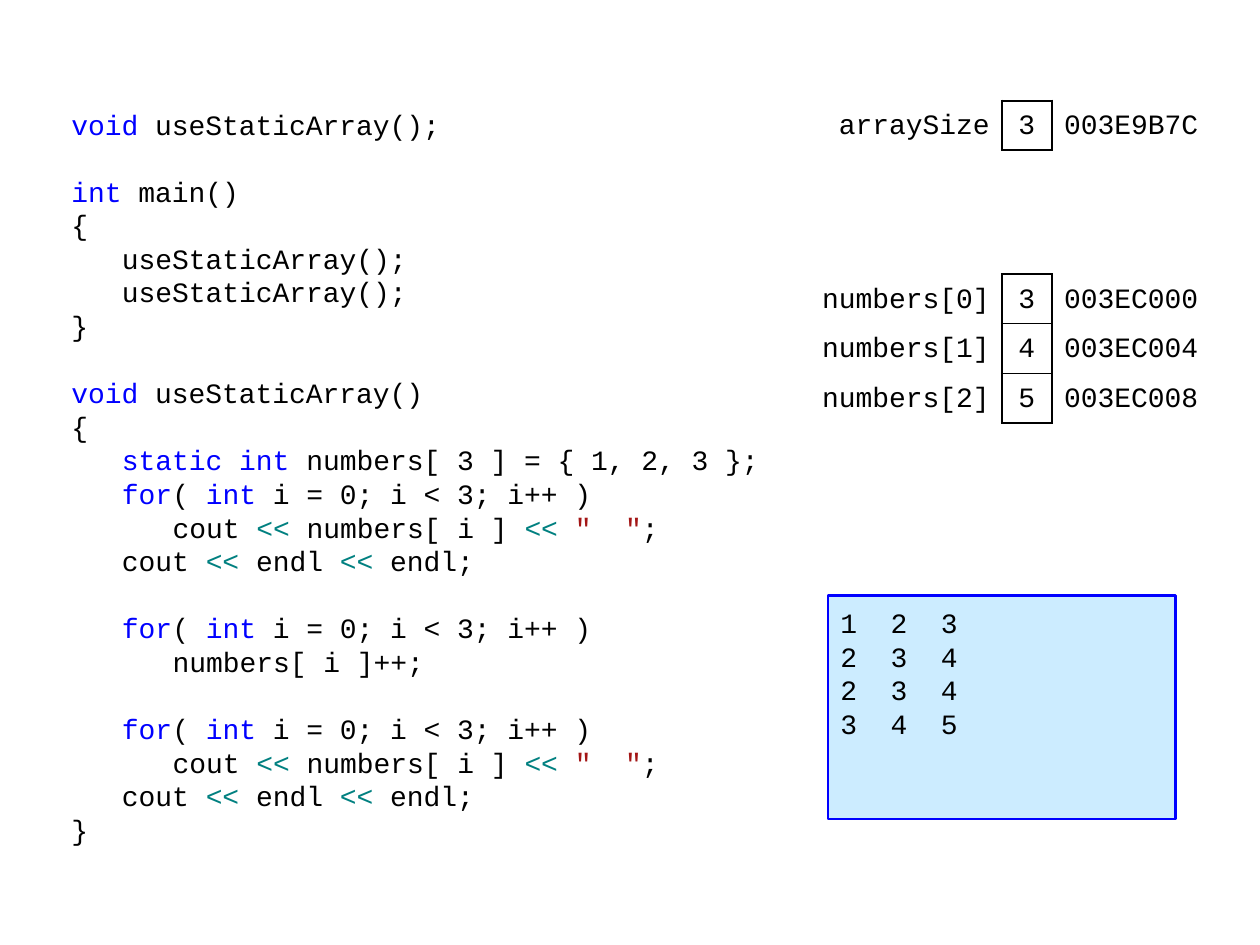
from lxml.etree import SubElement
from pptx import Presentation
from pptx.dml.color import RGBColor
from pptx.enum.shapes import MSO_SHAPE
from pptx.enum.text import MSO_ANCHOR, PP_ALIGN
from pptx.oxml.ns import qn
from pptx.util import Cm, Pt

COLORS = {
    "text": "000000",
    "keyword": "0000FF",
    "operator": "008080",
    "string": "A31515",
    "console": "CCECFF",
}
TOKENS = {
    "void": "keyword",
    "int": "keyword",
    "static int": "keyword",
    "for": "keyword",
    "<<": "operator",
    '"  "': "string",
}
LOOP = "for|( |int| i = 0; i < 3; i++ )"
PRINT_LOOP = [
    (2, 'cout |<<| numbers[ i ] |<<| |"  "|;'),
    (1, "cout |<<| endl |<<| endl;"),
]
CODE_BLOCKS = [
    [(0, "void| useStaticArray();")],
    [
        (0, "int| main()"),
        (0, "{"),
        (1, "useStaticArray();"),
        (1, "useStaticArray();"),
        (0, "}"),
    ],
    [
        (0, "void| useStaticArray()"),
        (0, "{"),
        (1, "static int| numbers[ 3 ] = { 1, 2, 3 };"),
        (1, LOOP),
        *PRINT_LOOP,
    ],
    [(1, LOOP), (2, "numbers[ i ]++;")],
    [(1, LOOP), *PRINT_LOOP, (0, "}")],
]
CONSOLE_LINES = ["1  2  3", "2  3  4", "2  3  4", "3  4  5"]
SIZE_ROWS = [("arraySize", "3", "003E9B7C")]
NUMBER_ROWS = [
    ("numbers[0]", "3", "003EC000"),
    ("numbers[1]", "4", "003EC004"),
    ("numbers[2]", "5", "003EC008"),
]


class SlideBuilder:
    """Holds the text style and the current slide."""

    font = {"name": "Courier New", "size": Pt(16)}
    line_height = Pt(19.2)
    indent = Cm(1.02)
    code_frame = {"word_wrap": True, "vertical_anchor": MSO_ANCHOR.TOP,
                  "margin_left": Cm(0.25), "margin_right": Cm(0.25),
                  "margin_top": Cm(0.13), "margin_bottom": Cm(0.13)}
    console_frame = {**code_frame, "margin_top": Cm(0.2)}
    cell_format = {"vertical_anchor": MSO_ANCHOR.MIDDLE,
                   "margin_top": 0, "margin_bottom": 0}
    columns = [
        (Cm(3.99), PP_ALIGN.RIGHT, Cm(0.25), "R"),
        (Cm(1), PP_ALIGN.CENTER, 0, "LRTB"),
        (Cm(3.51), PP_ALIGN.LEFT, Cm(0.25), "L"),
    ]
    row_height = Cm(1)

    def __init__(self, slide):
        self.slide = slide

    def apply(self, target, values):
        for name, value in values.items():
            setattr(target, name, value)

    def run(self, paragraph, text, color="text"):
        run = paragraph.add_run()
        run.text = text
        self.apply(run.font, self.font)
        run.font.color.rgb = RGBColor.from_string(COLORS[color])

    def lines(self, text_frame, blocks):
        paragraph = text_frame.paragraphs[0]
        for block_index, block in enumerate(blocks):
            for line_index, (level, line) in enumerate(block):
                if block_index or line_index:
                    paragraph = text_frame.add_paragraph()
                gap = self.line_height if block_index and not line_index else 0
                self.apply(paragraph, {"alignment": PP_ALIGN.LEFT,
                                       "line_spacing": self.line_height,
                                       "space_before": gap})
                properties = paragraph._p.get_or_add_pPr()
                properties.set("marL", str(level * self.indent))
                for token in line.split("|"):
                    self.run(paragraph, token, TOKENS.get(token, "text"))

    def code(self, left, top, width, height, blocks):
        text_frame = self.slide.shapes.add_textbox(left, top, width, height).text_frame
        self.apply(text_frame, self.code_frame)
        self.lines(text_frame, blocks)

    def console(self, left, top, width, height, lines):
        shape = self.slide.shapes.add_shape(MSO_SHAPE.RECTANGLE, left, top, width, height)
        shape.shadow.inherit = False
        shape.fill.solid()
        shape.fill.fore_color.rgb = RGBColor.from_string(COLORS["console"])
        shape.line.color.rgb = RGBColor.from_string(COLORS["keyword"])
        shape.line.width = Pt(1.5)
        self.apply(shape.text_frame, self.console_frame)
        self.lines(shape.text_frame, [[(0, line) for line in lines]])

    def border(self, cell, edge, width):
        properties = cell._tc.get_or_add_tcPr()
        line = SubElement(properties, qn(f"a:ln{edge}"), w=str(width))
        if width:
            fill = SubElement(line, qn("a:solidFill"))
            SubElement(fill, qn("a:srgbClr"), val=COLORS["text"])
        else:
            SubElement(line, qn("a:noFill"))

    def memory(self, left, top, rows):
        width = sum(column[0] for column in self.columns)
        table = self.slide.shapes.add_table(
            len(rows), len(self.columns), left, top, width, self.row_height * len(rows)
        ).table
        self.apply(table, {"first_row": False, "horz_banding": False})
        for column, values in zip(table.columns, self.columns):
            column.width = values[0]
        for row_index, row in enumerate(rows):
            outer = {"T": row_index == 0, "B": row_index == len(rows) - 1}
            for column_index, text in enumerate(row):
                _, alignment, margin, edges = self.columns[column_index]
                cell = table.cell(row_index, column_index)
                self.apply(cell, {**self.cell_format,
                                  "margin_left": margin, "margin_right": margin})
                for edge in "LRTB":
                    weight = Pt(1.5) if outer.get(edge, True) else Pt(0.75)
                    self.border(cell, edge, weight if edge in edges else 0)
                cell.fill.background()
                paragraph = cell.text_frame.paragraphs[0]
                self.apply(paragraph, {"alignment": alignment, "line_spacing": 1.1})
                self.run(paragraph, text)


def main():
    presentation = Presentation()
    presentation.slide_width = Cm(25.4)
    presentation.slide_height = Cm(19.05)
    builder = SlideBuilder(presentation.slides.add_slide(presentation.slide_layouts[6]))
    builder.code(Cm(1.19), Cm(2.03), Cm(17.5), Cm(15.49), CODE_BLOCKS)
    builder.memory(Cm(16.21), Cm(5.53), NUMBER_ROWS)
    builder.memory(Cm(16.21), Cm(2.03), SIZE_ROWS)
    builder.console(Cm(16.69), Cm(12.01), Cm(7.01), Cm(4.5), CONSOLE_LINES)
    presentation.save("out.pptx")


if __name__ == "__main__":
    main()
